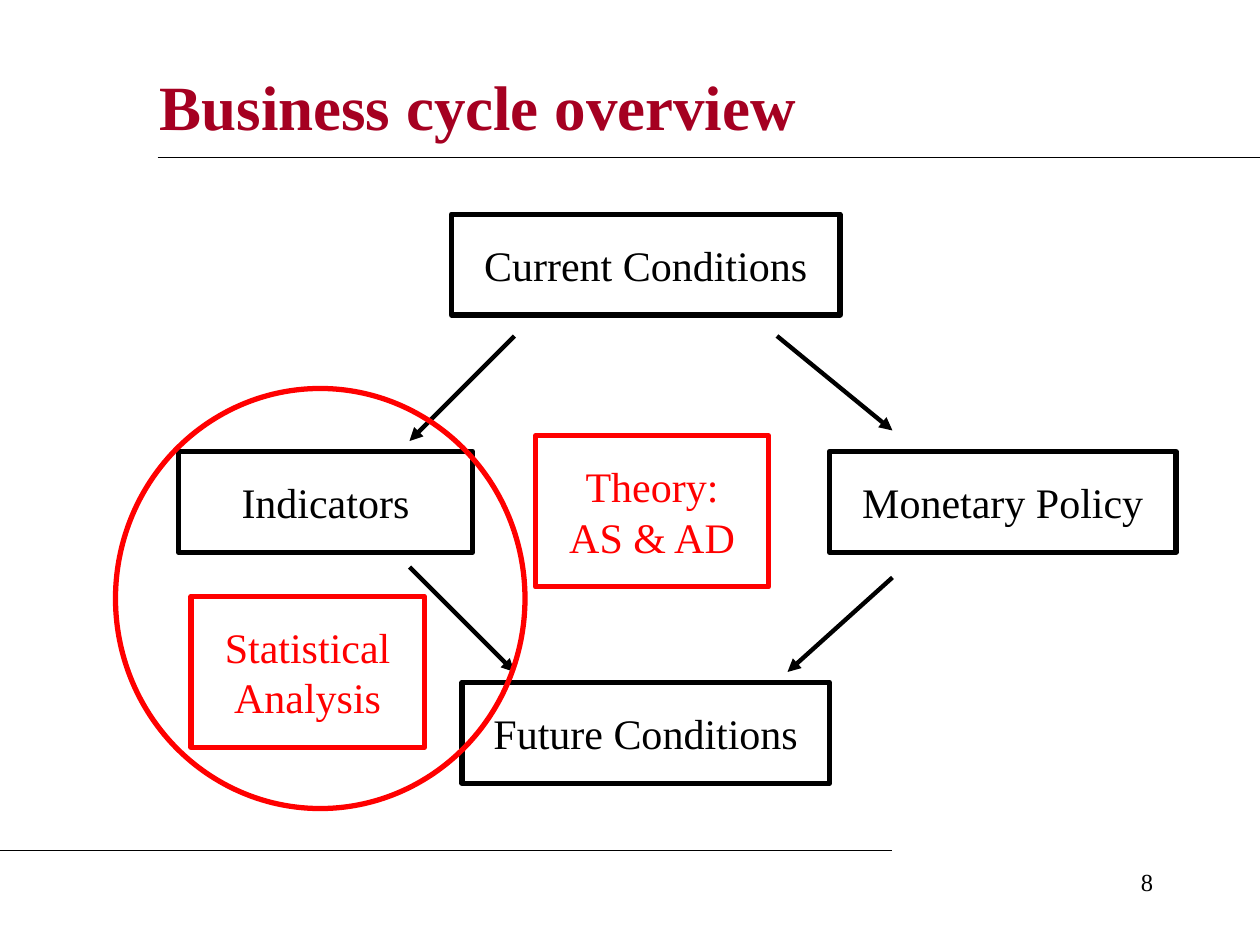
import pptx
import pptx.util
from lxml import etree
from pptx.dml.color import RGBColor
from pptx.enum.shapes import MSO_CONNECTOR, MSO_SHAPE
from pptx.enum.text import MSO_ANCHOR, PP_ALIGN
from pptx.oxml.ns import qn
from pptx.util import Pt

FONT = "Times New Roman"
BLACK = RGBColor(0x00, 0x00, 0x00)
RED = RGBColor(0xFF, 0x00, 0x00)
CRIMSON = RGBColor(0xA5, 0x00, 0x21)

# Lengths in points: left, top, width, height
TITLE = ("Business cycle overview", (84, 30, 582, 60))
PAGE_NUMBER = ("8", (516, 492, 150, 36))
STAGES = [
    ("Current Conditions", (258, 122.4, 222, 57.6)),
    ("Indicators", (102, 258, 168, 57.6)),
    ("Monetary Policy", (474, 258, 198, 57.6)),
    ("Future Conditions", (264, 390, 210, 57.6)),
]
TOOLS = [
    ("Theory: AS & AD", (306, 249, 133.2, 86.4)),
    ("Statistical Analysis", (109.2, 340.8, 133.2, 86.4)),
]
FOCUS_CIRCLE = (66, 222, 234, 240)

# Lengths in points: start x, start y, end x, end y
RULES = [(90, 90, 720, 90), (0, 486, 510, 486)]
ARROWS = [
    (294, 192, 234, 252),
    (444, 192, 510, 246),
    (510, 330, 450, 384),
    (234, 324, 294, 384),
]


def points(lengths):
    return [Pt(length) for length in lengths]


def write(shape, text, size, color, align, inset=(7.2, 3.6), bold=False):
    frame = shape.text_frame
    frame.word_wrap = True
    frame.margin_left = frame.margin_right = Pt(inset[0])
    frame.margin_top = frame.margin_bottom = Pt(inset[1])
    frame.text = text
    paragraph = frame.paragraphs[0]
    paragraph.alignment = align
    font = paragraph.runs[0].font
    font.name, font.size, font.bold = FONT, Pt(size), bold
    font.color.rgb = color


def add_outline(slide, preset, place, color):
    shape = slide.shapes.add_shape(preset, *points(place))
    shape.shadow.inherit = False
    shape.fill.background()
    shape.line.color.rgb = color
    shape.line.width = Pt(3)
    return shape


def add_line(slide, ends, width, arrow=False):
    connector = slide.shapes.add_connector(MSO_CONNECTOR.STRAIGHT, *points(ends))
    connector.line.color.rgb = BLACK
    connector.line.width = Pt(width)
    if arrow:
        outline = connector.line._get_or_add_ln()
        etree.SubElement(outline, qn("a:tailEnd"), type="triangle")
    etree.SubElement(connector._element.spPr, qn("a:effectLst"))


def main():
    deck = pptx.Presentation()
    deck.slide_width, deck.slide_height = Pt(720), Pt(540)
    slide = deck.slides.add_slide(deck.slide_layouts[5])

    heading, place = TITLE
    title = slide.shapes.title
    title.left, title.top, title.width, title.height = points(place)
    write(title, heading, 36, CRIMSON, PP_ALIGN.LEFT, bold=True)
    title.text_frame.vertical_anchor = MSO_ANCHOR.MIDDLE

    for ends in RULES:
        add_line(slide, ends, 0.75)
    for ends in ARROWS:
        add_line(slide, ends, 2.5, arrow=True)

    for boxes, color in ((STAGES, BLACK), (TOOLS, RED)):
        for label, place in boxes:
            box = add_outline(slide, MSO_SHAPE.RECTANGLE, place, color)
            write(box, label, 24, color, PP_ALIGN.CENTER, inset=(14.4, 14.4))
            box.text_frame.vertical_anchor = MSO_ANCHOR.TOP
    add_outline(slide, MSO_SHAPE.OVAL, FOCUS_CIRCLE, RED)

    number, place = PAGE_NUMBER
    page_number = slide.shapes.add_textbox(*points(place))
    write(page_number, number, 14, BLACK, PP_ALIGN.RIGHT)

    deck.save("out.pptx")


if __name__ == "__main__":
    main()
